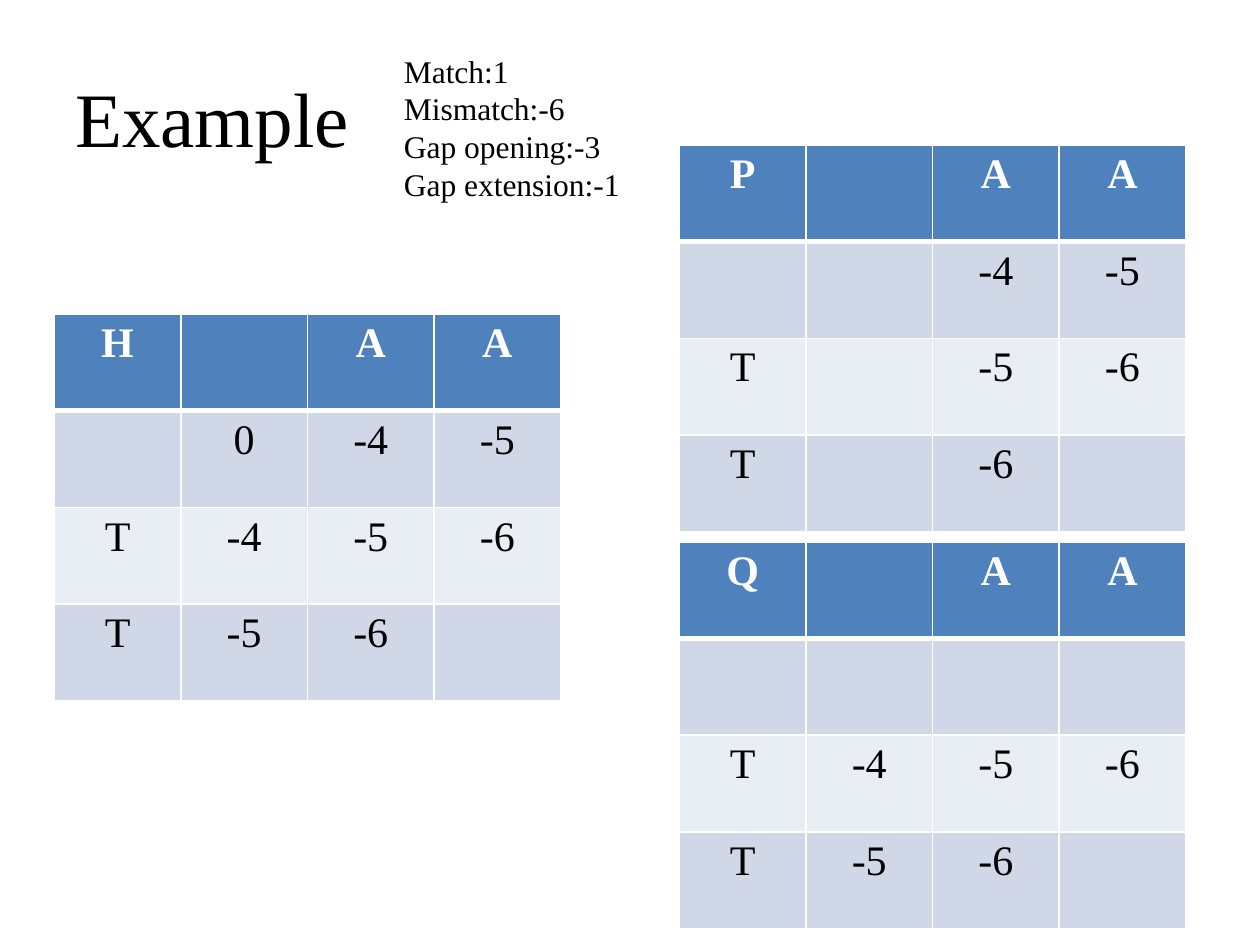
from lxml.etree import SubElement
from pptx import Presentation
from pptx.dml.color import RGBColor
from pptx.enum.text import MSO_ANCHOR, PP_ALIGN
from pptx.oxml.ns import qn
from pptx.util import Pt

FONT = "Times New Roman"
BLACK, WHITE, BLUE = "000000", "FFFFFF", "4F81BD"
BANDS = ("D0D8E8", "E9EDF4")
TABLE_WIDTH, TABLE_HEIGHT = 289.4, 221

SCORES = ["Match:1", "Mismatch:-6", "Gap opening:-3", "Gap extension:-1"]
# Each matrix: left, top, rows of cell text
MATRICES = [
    (31, 179.5, [["H", "", "A", "A"],
                 ["", "0", "-4", "-5"],
                 ["T", "-4", "-5", "-6"],
                 ["T", "-5", "-6", ""]]),
    (388.2, 82.8, [["P", "", "A", "A"],
                   ["", "", "-4", "-5"],
                   ["T", "", "-5", "-6"],
                   ["T", "", "-6", ""]]),
    (388.2, 309.6, [["Q", "", "A", "A"],
                    ["", "", "", ""],
                    ["T", "-4", "-5", "-6"],
                    ["T", "-5", "-6", ""]]),
]


def color(value):
    return RGBColor.from_string(value)


def style_font(font, size, value, bold=False):
    font.name = FONT
    font.size = Pt(size)
    font.bold = bold
    font.color.rgb = color(value)


def add_text(page, left, top, width, height, lines, size, wrap, anchor):
    box = page.shapes.add_textbox(Pt(left), Pt(top), Pt(width), Pt(height))
    frame = box.text_frame
    frame.word_wrap = wrap
    frame.vertical_anchor = anchor
    frame.text = "\n".join(lines)
    for para in frame.paragraphs:
        for span in para.runs:
            style_font(span.font, size, BLACK)


def set_borders(cell, widths):
    properties = cell._tc.get_or_add_tcPr()
    for side, width in widths.items():
        line = SubElement(properties, qn(f"a:ln{side}"), w=str(Pt(width)))
        fill = SubElement(line, qn("a:solidFill"))
        SubElement(fill, qn("a:srgbClr"), val=WHITE)


def add_matrix(page, left, top, width, height, rows):
    table = page.shapes.add_table(len(rows), len(rows[0]), Pt(left), Pt(top),
                                  Pt(width), Pt(height)).table
    for row_index, row in enumerate(rows):
        header = row_index == 0
        # A thick line parts the header from the body
        widths = {"L": 1, "R": 1, "T": 3 if row_index == 1 else 1,
                  "B": 3 if header else 1}
        for column_index, text in enumerate(row):
            cell = table.cell(row_index, column_index)
            set_borders(cell, widths)
            cell.fill.solid()
            cell.fill.fore_color.rgb = color(
                BLUE if header else BANDS[(row_index - 1) % 2])
            cell.text_frame.text = text
            para = cell.text_frame.paragraphs[0]
            para.alignment = PP_ALIGN.CENTER
            for span in para.runs:
                style_font(span.font, 24, WHITE if header else BLACK, header)


def main():
    deck = Presentation()
    deck.slide_width, deck.slide_height = Pt(720), Pt(540)
    page = deck.slides.add_slide(deck.slide_layouts[6])

    # Title and scoring scheme
    add_text(page, 36, 21.6, 648, 90, ["Example"], 44, True, MSO_ANCHOR.MIDDLE)
    add_text(page, 223.7, 26, 139, 94.5, SCORES, 18, False, MSO_ANCHOR.TOP)

    # Alignment matrices
    for left, top, rows in MATRICES:
        add_matrix(page, left, top, TABLE_WIDTH, TABLE_HEIGHT, rows)

    deck.save("out.pptx")


if __name__ == "__main__":
    main()
